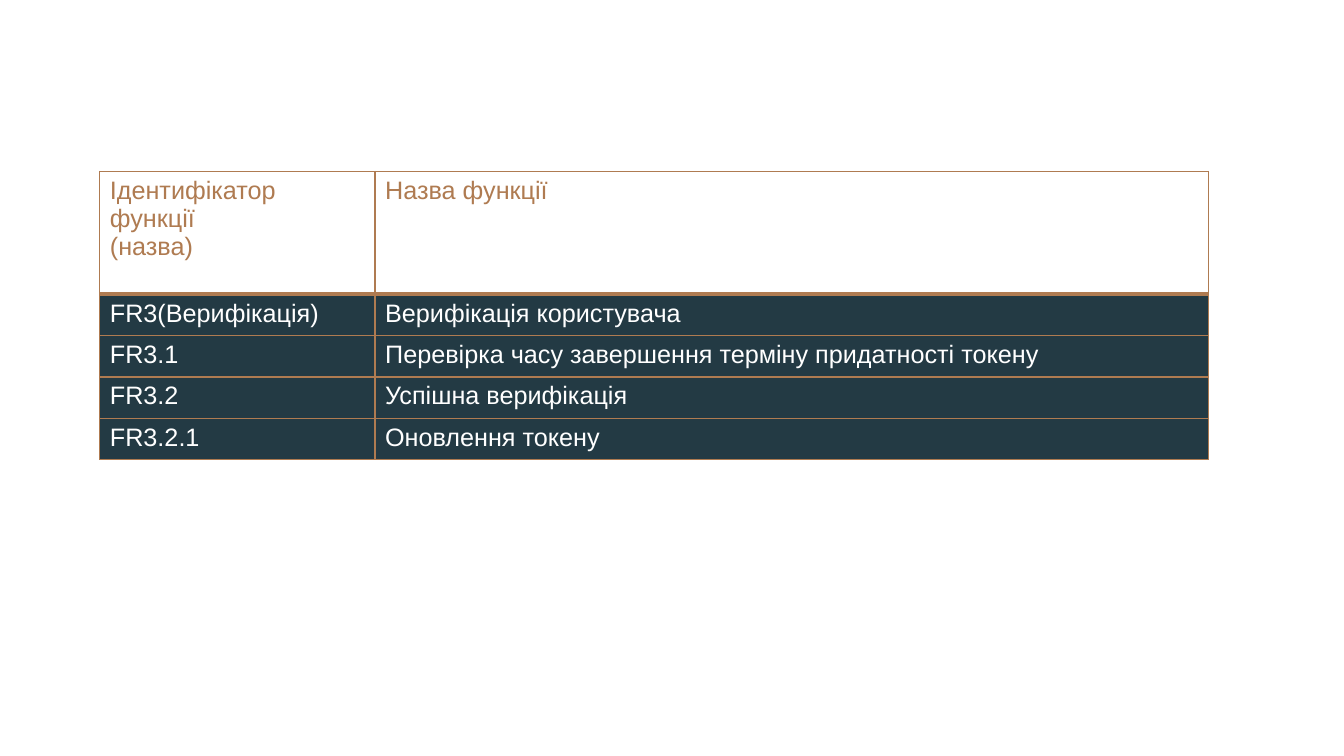
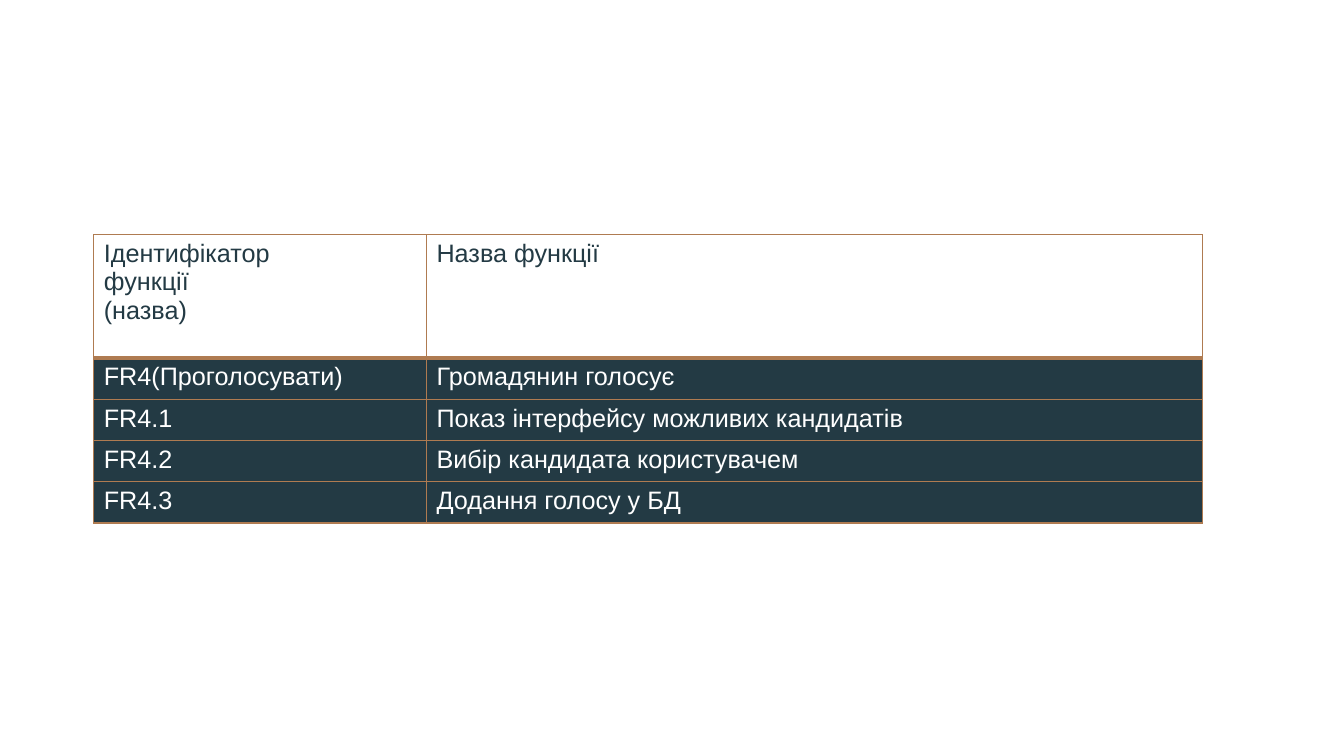
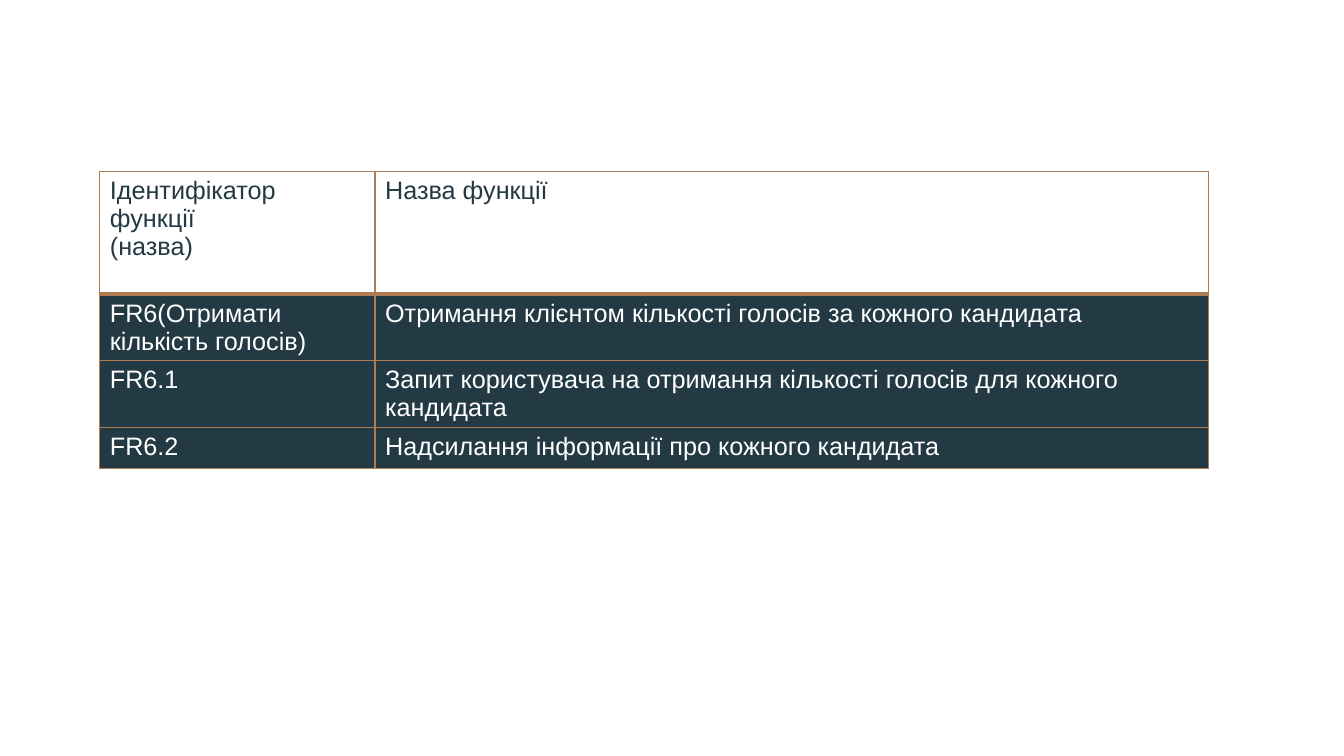
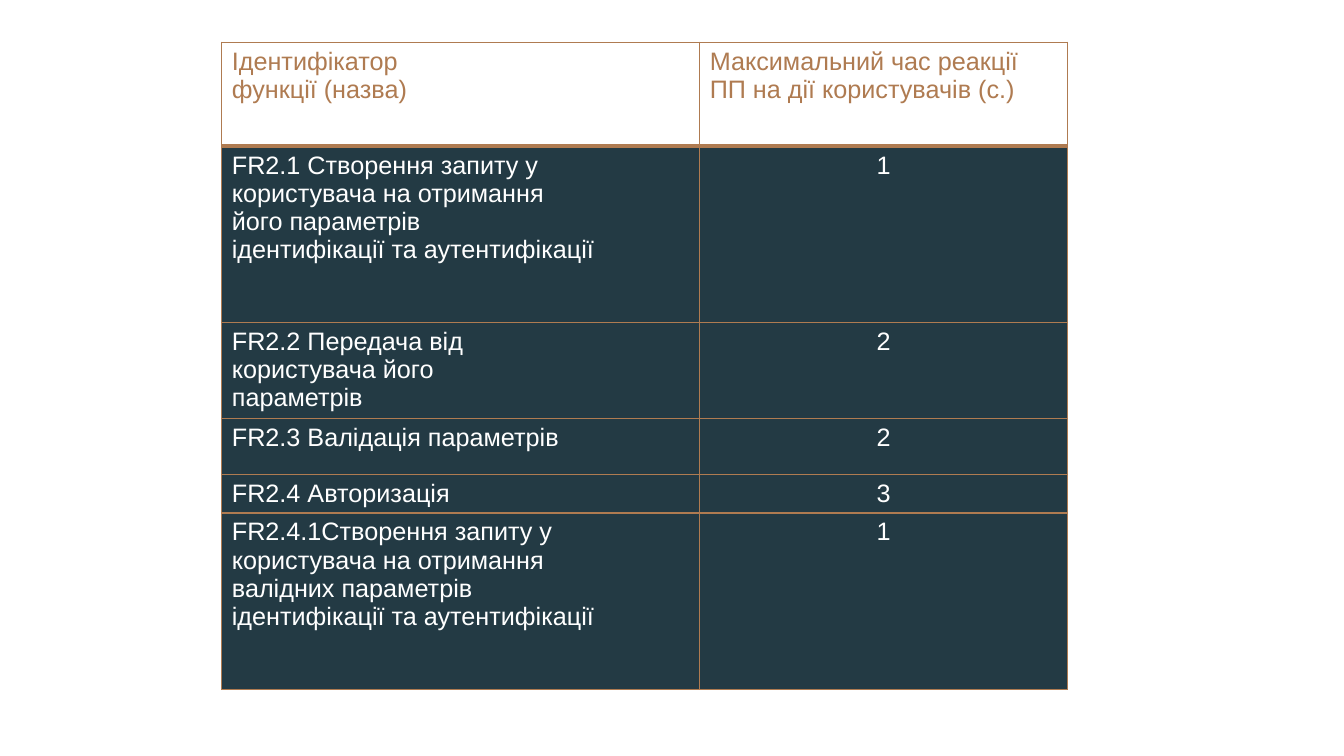
from lxml.etree import SubElement
from pptx import Presentation
from pptx.dml.color import RGBColor
from pptx.enum.text import PP_ALIGN as Align
from pptx.oxml.ns import qn
from pptx.util import Inches, Pt

COLORS = {"copper": "AF7B51", "dark": "233A44", "white": "FFFFFF"}
FONT = "Arial"
FUNCTION_HEADER = ("Ідентифікатор\nфункції\n(назва)", "Назва функції")
HEADER_HEIGHT = 1.22
LINE_HEIGHT = 0.41
TWO_LINE_HEIGHT = 0.66


def write_text(cell, text, color="white", size=18, align=Align.LEFT):
    cell.text_frame.text = text
    for paragraph in cell.text_frame.paragraphs:
        paragraph.alignment = align
        for run in paragraph.runs:
            run.font.name = FONT
            run.font.size = Pt(size)
            run.font.color.rgb = RGBColor.from_string(COLORS[color])


def add_borders(cell, **widths):
    properties = cell._tc.get_or_add_tcPr()
    for side in ("L", "R", "T", "B"):
        line = SubElement(properties, qn(f"a:ln{side}"), w=str(Pt(widths.get(side, 1))))
        fill = SubElement(line, qn("a:solidFill"))
        SubElement(fill, qn("a:srgbClr"), val=COLORS["copper"])


tables = [
    {
        "position": (0.99, 1.7),
        "columns": (2.73, 8.27),
        "heights": [HEADER_HEIGHT] + [LINE_HEIGHT] * 4,
        "header_color": "copper",
        "rows": [
            FUNCTION_HEADER,
            ("FR3(Верифікація)", "Верифікація користувача"),
            ("FR3.1", "Перевірка часу завершення терміну придатності токену"),
            ("FR3.2", "Успішна верифікація"),
            ("FR3.2.1", "Оновлення токену"),
        ],
    },
    {
        "position": (0.93, 2.33),
        "columns": (3.3, 7.7),
        "heights": [HEADER_HEIGHT] + [LINE_HEIGHT] * 4,
        "header_color": "dark",
        "rows": [
            FUNCTION_HEADER,
            ("FR4(Проголосувати)", "Громадянин голосує"),
            ("FR4.1", "Показ інтерфейсу можливих кандидатів"),
            ("FR4.2", "Вибір кандидата користувачем"),
            ("FR4.3", "Додання голосу у БД"),
        ],
    },
    {
        "position": (0.99, 1.7),
        "columns": (2.73, 8.27),
        "heights": [HEADER_HEIGHT, TWO_LINE_HEIGHT, TWO_LINE_HEIGHT, LINE_HEIGHT],
        "header_color": "dark",
        "rows": [
            FUNCTION_HEADER,
            ("FR6(Отримати кількість голосів)",
             "Отримання клієнтом кількості голосів за кожного кандидата"),
            ("FR6.1",
             "Запит користувача на отримання кількості голосів для кожного кандидата"),
            ("FR6.2", "Надсилання інформації про кожного кандидата"),
        ],
    },
    {
        "position": (2.2, 0.42),
        "columns": (4.74, 3.65),
        "heights": [1.03, 1.75, 0.95, 0.56, 0.38, 1.75],
        "header_color": "copper",
        "value_align": Align.CENTER,
        "rows": [
            ("Ідентифікатор\nфункції (назва)",
             "Максимальний час реакції ПП на дії користувачів (c.)"),
            ("FR2.1 Створення запиту у\nкористувача на отримання\n"
             "його параметрів\nідентифікації та аутентифікації", "1"),
            ("FR2.2 Передача від\nкористувача його\nпараметрів", "2"),
            ("FR2.3 Валідація параметрів", "2"),
            ("FR2.4 Авторизація", "3"),
            ("FR2.4.1Створення запиту у\nкористувача на отримання\n"
             "валідних параметрів\nідентифікації та аутентифікації", "1"),
        ],
    },
]

presentation = Presentation()
presentation.slide_width = Inches(13.33)
presentation.slide_height = Inches(7.5)

for content in tables:
    slide = presentation.slides.add_slide(presentation.slide_layouts[6])
    left, top = content["position"]
    rows, columns, heights = content["rows"], content["columns"], content["heights"]
    table = slide.shapes.add_table(
        len(rows), len(columns), Inches(left), Inches(top),
        Inches(sum(columns)), Inches(sum(heights)),
    ).table
    table.horz_banding = False
    table.first_row = False
    for column, width in zip(table.columns, columns):
        column.width = Inches(width)
    for row_index, (row, height) in enumerate(zip(rows, heights)):
        table.rows[row_index].height = Inches(height)
        is_header = row_index == 0
        for column_index, text in enumerate(row):
            cell = table.cell(row_index, column_index)
            is_value = column_index == 1 and not is_header
            write_text(
                cell, text,
                color=content["header_color"] if is_header else "white",
                align=content.get("value_align", Align.LEFT) if is_value else Align.LEFT,
            )
            add_borders(cell, T=3 if row_index == 1 else 1, B=3 if is_header else 1)
            cell.fill.solid()
            fill_color = COLORS["white" if is_header else "dark"]
            cell.fill.fore_color.rgb = RGBColor.from_string(fill_color)

presentation.save("out.pptx")
